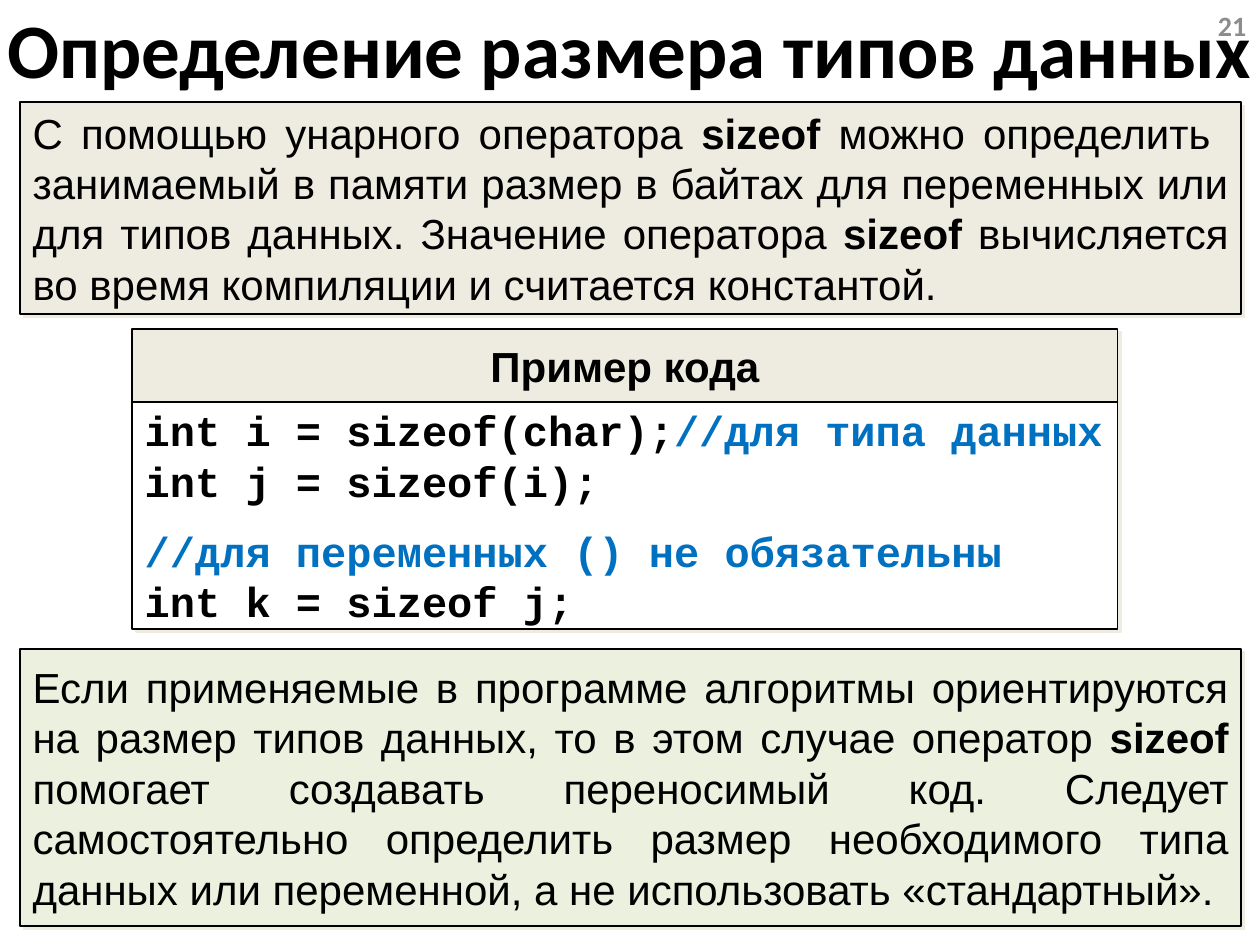
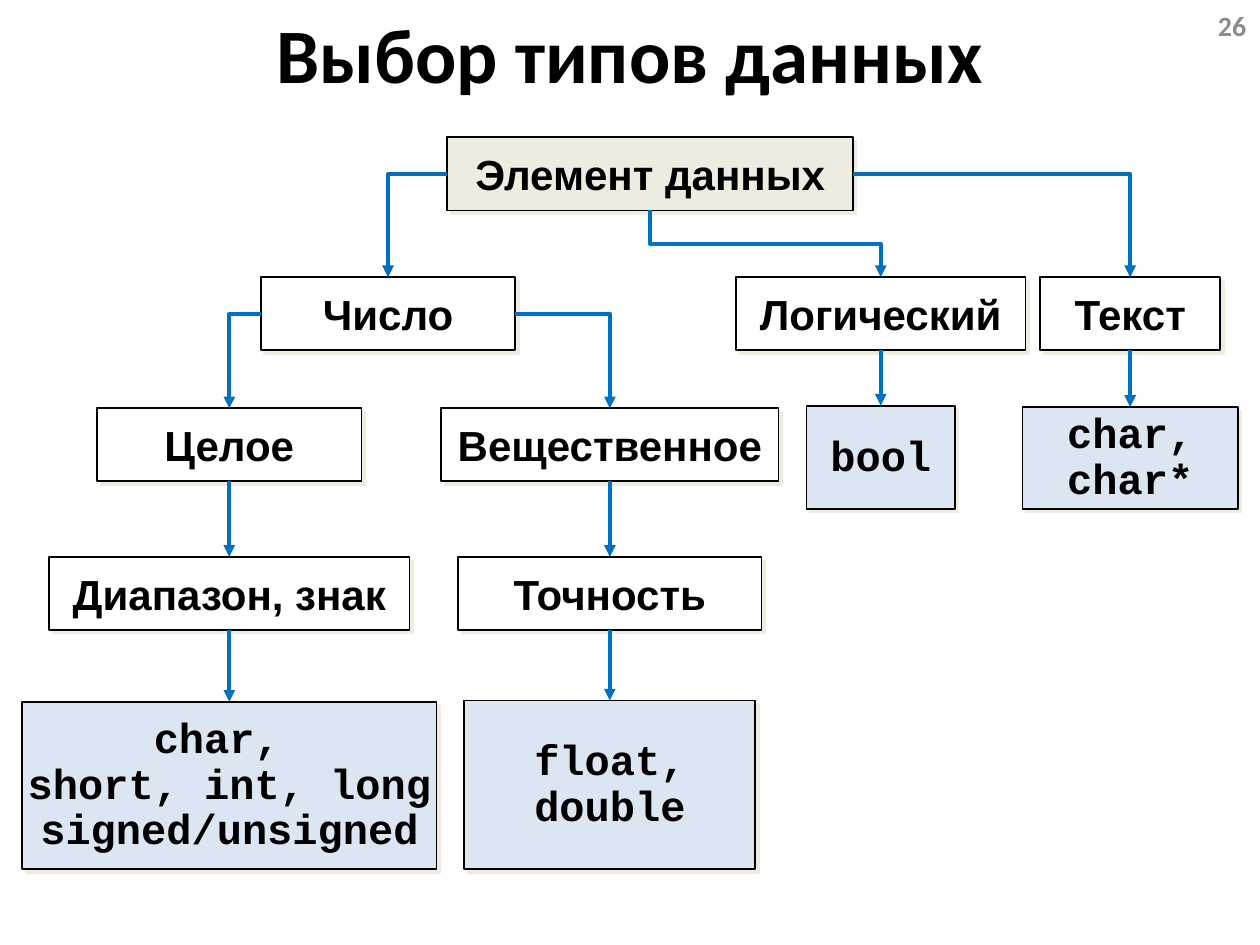
import pptx
import pptx.dml.color
import pptx.enum.shapes
import pptx.enum.text
import pptx.oxml
import pptx.oxml.ns
import pptx.util
from dataclasses import dataclass

Inches = pptx.util.Inches
Pt = pptx.util.Pt
ALIGN = pptx.enum.text.PP_ALIGN
CONNECTOR = pptx.enum.shapes.MSO_CONNECTOR


@dataclass(frozen=True)
class Theme:
    black: str = "000000"
    white: str = "FFFFFF"
    beige: str = "EEECE1"
    green: str = "EBF1DE"
    pale_blue: str = "DCE6F2"
    blue: str = "0070C0"
    grey: str = "8C8C8C"
    title_font: str = "Calibri"
    body_font: str = "Arial"
    code_font: str = "Courier New"
    title_size: float = 44
    number_size: float = 16
    body_size: float = 24
    outline: float = 1
    arrow: float = 2.25


THEME = Theme()
TIGHT = 0.04
ROW_HEIGHT = 0.58


def rgb(value):
    return pptx.dml.color.RGBColor.from_string(value)


def append_xml(parent, xml):
    namespace = pptx.oxml.ns.nsdecls("a")
    parent.append(pptx.oxml.parse_xml(xml.replace("NS", namespace, 1)))


# Text
def add_run(paragraph, text, font=THEME.body_font, size=THEME.body_size,
            color=THEME.black, bold=True):
    run = paragraph.add_run()
    run.text = text
    run.font.name = font
    run.font.size = Pt(size)
    run.font.bold = bold
    run.font.color.rgb = rgb(color)


def prepare_frame(shape, inset=0.1):
    frame = shape.text_frame
    frame.word_wrap = True
    frame.vertical_anchor = pptx.enum.text.MSO_ANCHOR.MIDDLE
    frame.margin_left = frame.margin_right = Inches(inset)
    frame.margin_top = frame.margin_bottom = Inches(0.05)
    return frame


def add_paragraphs(frame, count, align):
    for _ in range(count - 1):
        frame.add_paragraph()
    for paragraph in frame.paragraphs:
        paragraph.alignment = align
    return frame.paragraphs


def add_label(slide, text, place, size, color, align, inset=0.1):
    shape = slide.shapes.add_textbox(*map(Inches, place))
    paragraph, = add_paragraphs(prepare_frame(shape, inset), 1, align)
    add_run(paragraph, text, THEME.title_font, size, color)


def add_titled_slide(presentation, title, number, title_height):
    slide = presentation.slides.add_slide(presentation.slide_layouts[6])
    add_label(slide, number, (7.66, 0, 2.33, 0.4), THEME.number_size,
              THEME.grey, ALIGN.RIGHT)
    add_label(slide, title, (0, 0, 10, title_height), THEME.title_size,
              THEME.black, ALIGN.CENTER, TIGHT)
    return slide


# Boxes with a hard offset shadow
def add_box(slide, place, fill):
    shape = slide.shapes.add_shape(
        pptx.enum.shapes.MSO_SHAPE.RECTANGLE, *map(Inches, place))
    shape.fill.solid()
    shape.fill.fore_color.rgb = rgb(fill)
    shape.line.color.rgb = rgb(THEME.black)
    shape.line.width = Pt(THEME.outline)
    append_xml(shape.element.spPr,
               f'<a:effectLst NS><a:outerShdw blurRad="0" dist="{Pt(2.8)}" '
               f'dir="2700000" algn="ctr" rotWithShape="0">'
               f'<a:srgbClr val="{THEME.beige}"/></a:outerShdw></a:effectLst>')
    return shape


def add_explanation(slide, top, height, fill, parts):
    """Parts alternate between plain and bold text."""
    shape = add_box(slide, (0.16, top, 9.69, height), fill)
    paragraph, = add_paragraphs(prepare_frame(shape), 1, ALIGN.JUSTIFY)
    for index, text in enumerate(parts):
        add_run(paragraph, text, bold=index % 2 == 1)


def add_heading_box(slide, text, place, fill=THEME.white):
    shape = add_box(slide, place, fill)
    paragraph, = add_paragraphs(prepare_frame(shape), 1, ALIGN.CENTER)
    add_run(paragraph, text)
    return shape


def add_code_box(slide, place, lines, gap_before):
    """Each line is a pair: code and comment."""
    shape = add_box(slide, place, THEME.white)
    paragraphs = add_paragraphs(prepare_frame(shape), len(lines), ALIGN.LEFT)
    paragraphs[gap_before].space_before = Pt(11.3)
    for paragraph, line in zip(paragraphs, lines):
        for text, color in zip(line, (THEME.black, THEME.blue)):
            if text:
                add_run(paragraph, text, THEME.code_font, color=color)


# Tree of data types: nodes are placed by the centre of their column
def add_category(slide, text, centre, top, width, fill=THEME.white):
    place = (centre - width / 2, top, width, ROW_HEIGHT)
    return add_heading_box(slide, text, place, fill)


def add_type_box(slide, lines, centre, top, width, height, inset=0.1):
    place = (centre - width / 2, top, width, height)
    shape = add_box(slide, place, THEME.pale_blue)
    frame = prepare_frame(shape, inset)
    paragraphs = add_paragraphs(frame, len(lines), ALIGN.CENTER)
    for paragraph, line in zip(paragraphs, lines):
        paragraph.line_spacing = 0.9
        add_run(paragraph, line, THEME.code_font)
    return shape


def add_arrow(slide, kind, begin, end):
    connector = slide.shapes.add_connector(kind, *begin, *end)
    connector.line.color.rgb = rgb(THEME.blue)
    connector.line.width = Pt(THEME.arrow)
    append_xml(connector.line._get_or_add_ln(), '<a:tailEnd NS type="triangle"/>')
    append_xml(connector._element.spPr, "<a:effectLst NS/>")
    return connector


def top_centre(shape):
    return shape.left + shape.width // 2, shape.top


def bottom_centre(shape):
    return shape.left + shape.width // 2, shape.top + shape.height


def connect_down(slide, parent, child):
    begin = bottom_centre(parent)
    add_arrow(slide, CONNECTOR.STRAIGHT, begin, (begin[0], child.top))


def connect_side(slide, parent, child):
    """Leave the parent sideways and turn down once."""
    end = top_centre(child)
    goes_left = end[0] < parent.left
    begin_x = parent.left if goes_left else parent.left + parent.width
    begin = (begin_x, parent.top + parent.height // 2)
    properties = add_arrow(slide, CONNECTOR.ELBOW, begin, end)._element.spPr
    properties.prstGeom.set("prst", "bentConnector2")
    if goes_left:
        properties.xfrm.set("flipH", "0")
        properties.xfrm.set("flipV", "1")
        properties.xfrm.set("rot", "10800000")


def connect_step(slide, parent, child):
    """Go down, across to the right and down again."""
    begin, end = bottom_centre(parent), top_centre(child)
    connector = add_arrow(slide, CONNECTOR.ELBOW, begin, end)
    across, down = end[0] - begin[0], end[1] - begin[1]
    connector.left = begin[0] + (across - down) // 2
    connector.top = begin[1] + (down - across) // 2
    connector.width, connector.height = down, across
    connector._element.spPr.xfrm.set("rot", "16200000")
    connector._element.spPr.xfrm.set("flipH", "1")


# Slides
def build_sizeof_slide(presentation):
    slide = add_titled_slide(
        presentation, "Определение размера типов данных", "21", 0.76)
    left, top, width = 1.05, 2.61, 7.82
    add_heading_box(slide, "Пример кода", (left, top, width, ROW_HEIGHT),
                    THEME.beige)
    add_code_box(slide, (left, top + ROW_HEIGHT, width, 1.8), [
        ("int i = sizeof(char);", "//для типа данных"),
        ("int j = sizeof(i);", ""),
        ("", "//для переменных () не обязательны"),
        ("int k = sizeof j;", ""),
    ], gap_before=2)
    add_explanation(slide, 0.81, 1.68, THEME.beige, [
        "С помощью унарного оператора ", "sizeof ",
        "можно определить  занимаемый в памяти размер в байтах для переменных "
        "или для типов данных. Значение оператора ", "sizeof",
        " вычисляется во время компиляции и считается константой."])
    add_explanation(slide, 5.15, 2.2, THEME.green, [
        "Если применяемые в программе алгоритмы ориентируются на размер типов "
        "данных, то в этом случае оператор ", "sizeof ",
        "помогает создавать переносимый код. Следует самостоятельно определить "
        "размер необходимого типа данных или переменной, а не использовать "
        "«стандартный»."])


def build_choice_slide(presentation):
    slide = add_titled_slide(presentation, "Выбор типов данных", "26", 0.84)
    integer_x, real_x, logical_x, text_x = 1.82, 4.84, 6.99, 8.97
    kind_top, number_top, detail_top = 2.2, 3.24, 4.42

    # Categories
    element = add_category(slide, "Элемент данных", 5.16, 1.09, 3.22, THEME.beige)
    number = add_category(slide, "Число", 3.08, kind_top, 2.02)
    logical = add_category(slide, "Логический", logical_x, kind_top, 2.3)
    text = add_category(slide, "Текст", text_x, kind_top, 1.43)
    integer = add_category(slide, "Целое", integer_x, number_top, 2.1)
    real = add_category(slide, "Вещественное", real_x, number_top, 2.68)
    span = add_category(slide, "Диапазон, знак", integer_x, detail_top, 2.86)
    precision = add_category(slide, "Точность", real_x, detail_top, 2.41)

    # Language types
    integer_types = add_type_box(
        slide, ["char, ", "short, int, long", "signed/unsigned"],
        integer_x, 5.57, 3.29, 1.33, TIGHT)
    real_types = add_type_box(slide, ["float, double"], real_x, 5.56, 2.31, 1.34)
    logical_type = add_type_box(slide, ["bool"], logical_x, 3.22, 1.18, 0.82)
    text_types = add_type_box(slide, ["char, char*"], text_x, 3.23, 1.71, 0.81)

    # Arrows
    for parent, child in [(element, number), (element, text),
                          (number, integer), (number, real)]:
        connect_side(slide, parent, child)
    connect_step(slide, element, logical)
    for parent, child in [(integer, span), (span, integer_types),
                          (real, precision), (precision, real_types),
                          (logical, logical_type), (text, text_types)]:
        connect_down(slide, parent, child)


def main():
    presentation = pptx.Presentation()
    presentation.slide_width = Inches(10)
    presentation.slide_height = Inches(7.5)
    build_sizeof_slide(presentation)
    build_choice_slide(presentation)
    presentation.save("out.pptx")


if __name__ == "__main__":
    main()
